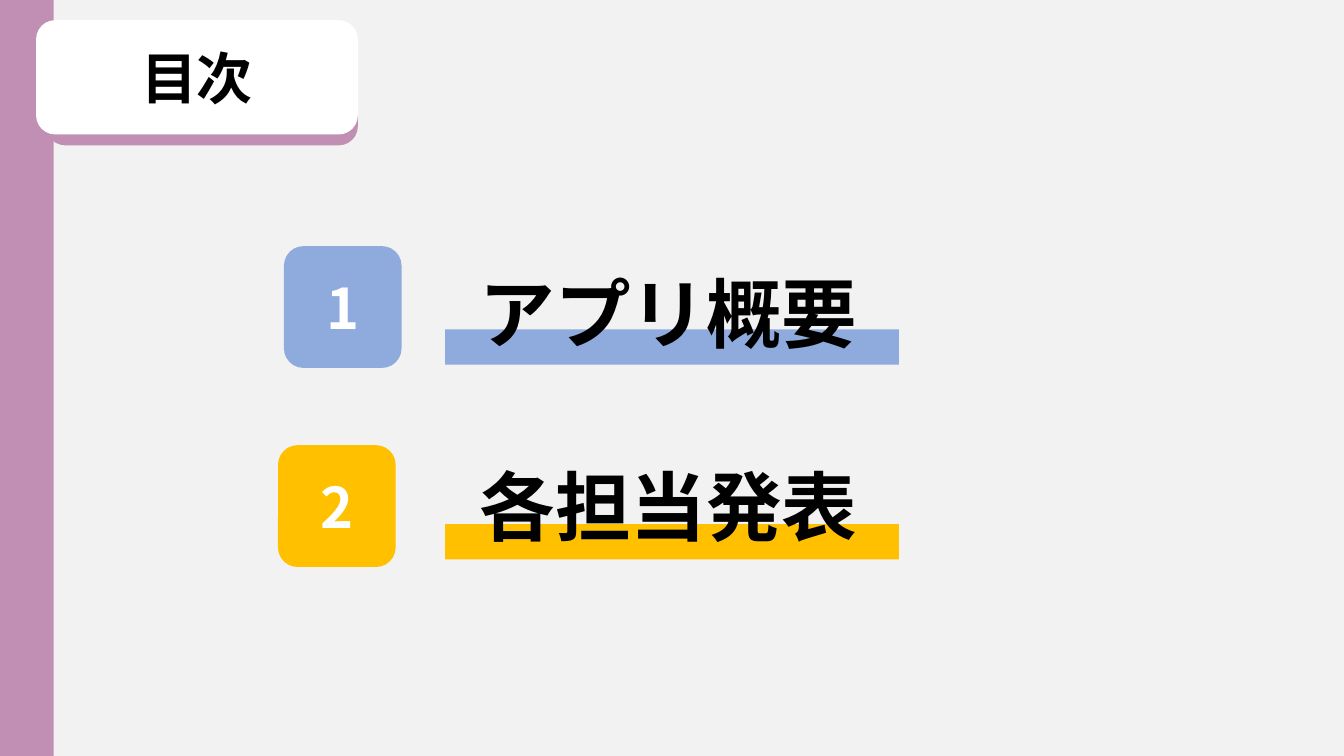
"""Build the contents slide on a grid of 160 columns by 90 rows."""
from dataclasses import dataclass
from lxml.etree import SubElement
from pptx import Presentation
from pptx.dml.color import RGBColor
from pptx.enum.shapes import MSO_SHAPE as Kind
from pptx.enum.text import MSO_ANCHOR as Anchor, MSO_AUTO_SIZE as Fit, PP_ALIGN as Align
from pptx.oxml.ns import qn
from pptx.util import Inches, Pt

WIDE, HIGH = Inches(13.33), Inches(7.5)
COLS, ROWS = 160, 90
FACE = "Noto Sans CJK JP"
MAUVE, WHITE, BLACK = "C08FB3", "FFFFFF", "000000"
MIDDLE = {"vertical_anchor": Anchor.MIDDLE, "word_wrap": True}
GROW = {"auto_size": Fit.SHAPE_TO_FIT_TEXT, "word_wrap": True}


@dataclass
class Box:
    col: float
    row: float
    cols: float
    rows: float

    def place(self) -> tuple[int, ...]:
        return (int(self.col * WIDE / COLS), int(self.row * HIGH / ROWS),
                int(self.cols * WIDE / COLS), int(self.rows * HIGH / ROWS))


@dataclass
class Item:
    mark: str
    label: str
    color: str
    badge: Box
    bar: Box
    text: Box


def tint(code: str) -> RGBColor:
    return RGBColor.from_string(code)


def style(target, values: dict) -> None:
    for name, value in values.items():
        setattr(target, name, value)


def panel(slide, kind, box: Box, color: str):
    shape = slide.shapes.add_shape(kind, *box.place())
    shape.shadow.inherit = False
    shape.fill.solid()
    shape.fill.fore_color.rgb = tint(color)
    shape.line.fill.background()
    return shape


def write(shape, text: str, size: int, color: str, align, frame: dict) -> None:
    style(shape.text_frame, frame)
    para = shape.text_frame.paragraphs[0]
    para.alignment = align
    run = para.add_run()
    run.text = text
    style(run.font, {"name": FACE, "size": Pt(size), "bold": True})
    run.font.color.rgb = tint(color)
    SubElement(run._r.get_or_add_rPr(), qn("a:ea"), typeface=FACE)


def title(slide, text: str) -> None:
    panel(slide, Kind.ROUNDED_RECTANGLE, Box(5.5, 3.7, 37.1, 13.6), MAUVE)
    front = panel(slide, Kind.ROUNDED_RECTANGLE, Box(4.3, 2.4, 38.3, 13.6), WHITE)
    write(front, text, 40, BLACK, Align.CENTER, MIDDLE)


def entry(slide, item: Item) -> None:
    panel(slide, Kind.RECTANGLE, item.bar, item.color)
    badge = panel(slide, Kind.ROUNDED_RECTANGLE, item.badge, item.color)
    write(badge, item.mark, 40, WHITE, Align.CENTER, MIDDLE)
    label = slide.shapes.add_textbox(*item.text.place())
    write(label, item.label, 54, BLACK, Align.LEFT, GROW)


ITEMS = [
    Item("1", "アプリ概要", "8FAADC", Box(33.8, 29.3, 14, 14.5),
         Box(53, 39.2, 54, 4.2), Box(55.9, 31.2, 48.3, 12.1)),
    Item("2", "各担当発表", "FFC000", Box(33.1, 53, 14, 14.5),
         Box(53, 62.4, 54, 4.2), Box(55.9, 54.2, 48.3, 12.1)),
]


def main() -> None:
    deck = Presentation()
    style(deck, {"slide_width": WIDE, "slide_height": HIGH})
    slide = deck.slides.add_slide(deck.slide_layouts[6])
    slide.background.fill.solid()
    slide.background.fill.fore_color.rgb = tint("F2F2F2")
    panel(slide, Kind.RECTANGLE, Box(0, 0, 6.4, ROWS), MAUVE)
    title(slide, "目次")
    for item in ITEMS:
        entry(slide, item)
    deck.save("out.pptx")


if __name__ == "__main__":
    main()
